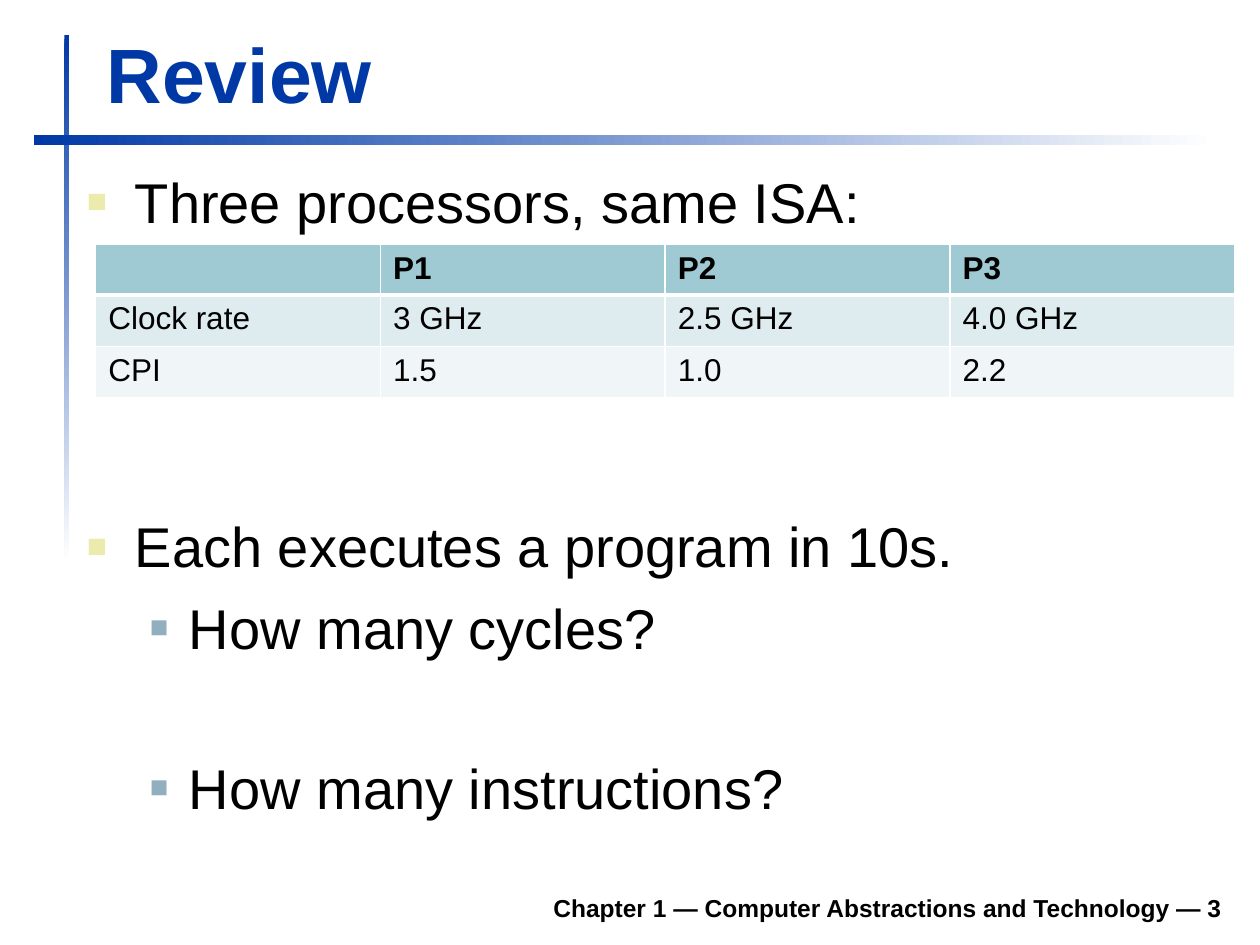
from pptx import Presentation
from pptx.dml.color import RGBColor
from pptx.enum.shapes import MSO_SHAPE as Preset
from pptx.enum.text import MSO_ANCHOR as Anchor, PP_ALIGN as Align
from pptx.oxml import parse_xml
from pptx.oxml.ns import nsdecls
from pptx.util import Cm, Pt

BLUE = RGBColor(0x00, 0x39, 0xA6)
WHITE = RGBColor(0xFF, 0xFF, 0xFF)
BLACK = RGBColor(0, 0, 0)
HEADER_TEAL = RGBColor(0x9F, 0xCA, 0xD3)
BAND_DARK = RGBColor(0xDF, 0xEC, 0xEF)
BAND_LIGHT = RGBColor(0xF0, 0xF6, 0xF7)
YELLOW = RGBColor(0xEC, 0xEA, 0xAC)
STEEL = RGBColor(0x91, 0xAF, 0xBF)

LEVELS = [
    {"margin": 0.97, "hang": 0.97, "color": YELLOW, "percent": 60},
    {"margin": 2.06, "hang": 0.79, "color": STEEL, "percent": 55},
]
QUESTIONS = [
    (0, "Three processors, same ISA:", 0),
    (0, "Each executes a program in 10s.", 158.5),
    (1, "How many cycles?", 8),
    (1, "How many instructions?", 53),
]
PROCESSORS = [
    ["", "P1", "P2", "P3"],
    ["Clock rate", "3 GHz", "2.5 GHz", "4.0 GHz"],
    ["CPI", "1.5", "1.0", "2.2"],
]


class SlideBuilder:
    """Draws styled elements on the current slide."""

    font = "Arial"

    def __init__(self, slide):
        self.slide = slide

    def add_words(self, paragraph, text, size, color=BLACK, bold=False):
        run = paragraph.add_run()
        run.text = text
        run.font.name = self.font
        run.font.size = Pt(size)
        run.font.bold = bold
        run.font.color.rgb = color

    def fading_bar(self, left, top, width, height, angle):
        bar = self.slide.shapes.add_shape(
            Preset.RECTANGLE, Cm(left), Cm(top), Cm(width), Cm(height))
        bar.shadow.inherit = False
        bar.line.fill.background()
        bar.fill.gradient()
        bar.fill.gradient_angle = angle
        for stop, position, color in zip(bar.fill.gradient_stops, (0, 1), (BLUE, WHITE)):
            stop.position = position
            stop.color.rgb = color

    def frame(self, left, top, width, height, anchor=Anchor.TOP):
        frame = self.slide.shapes.add_textbox(
            Cm(left), Cm(top), Cm(width), Cm(height)).text_frame
        frame.word_wrap = True
        frame.vertical_anchor = anchor
        return frame

    def line_of_text(self, text, box, size, color=BLACK, align=Align.LEFT):
        paragraph = self.frame(*box, anchor=Anchor.BOTTOM).paragraphs[0]
        paragraph.alignment = align
        self.add_words(paragraph, text, size, color, bold=True)

    def bullets(self, items, box, size):
        frame = self.frame(*box)
        for index, (level, text, gap) in enumerate(items):
            paragraph = frame.add_paragraph() if index else frame.paragraphs[0]
            paragraph.level = level
            style = LEVELS[level]
            properties = paragraph._p.get_or_add_pPr()
            properties.set("marL", str(Cm(style["margin"])))
            properties.set("indent", str(-Cm(style["hang"])))
            for element in (
                f'<a:buClr {nsdecls("a")}><a:srgbClr val="{style["color"]}"/></a:buClr>',
                f'<a:buSzPct {nsdecls("a")} val="{style["percent"] * 1000}"/>',
                f'<a:buFont {nsdecls("a")} typeface="{self.font}"/>',
                f'<a:buChar {nsdecls("a")} char="■"/>',
            ):
                properties.append(parse_xml(element))
            paragraph.space_before = Pt(gap)
            self.add_words(paragraph, text, size)

    def border(self, cell, side, points):
        cell._tc.get_or_add_tcPr().append(parse_xml(
            f'<a:ln{side} {nsdecls("a")} w="{Pt(points)}"><a:solidFill>'
            f'<a:srgbClr val="{WHITE}"/></a:solidFill></a:ln{side}>'))

    def table(self, rows, left, top, column_width, row_heights, fills, size):
        columns = len(rows[0])
        table = self.slide.shapes.add_table(
            len(rows), columns, Cm(left), Cm(top),
            Cm(column_width * columns), Cm(sum(row_heights))).table
        table.horz_banding = False
        for column in table.columns:
            column.width = Cm(column_width)
        for r, values in enumerate(rows):
            table.rows[r].height = Cm(row_heights[r])
            for c, value in enumerate(values):
                cell = table.cell(r, c)
                for side in "LRTB":
                    under_header = (r, side) in ((0, "B"), (1, "T"))
                    self.border(cell, side, 3 if under_header else 1)
                cell.fill.solid()
                cell.fill.fore_color.rgb = fills[r]
                if value:
                    self.add_words(cell.text_frame.paragraphs[0], value, size, bold=r == 0)


def main():
    presentation = Presentation()
    presentation.slide_width = Cm(25.4)
    presentation.slide_height = Cm(19.05)
    review = SlideBuilder(presentation.slides.add_slide(presentation.slide_layouts[6]))
    review.fading_bar(1.3, 0.71, 0.1, 10.59, angle=270)
    review.fading_bar(0.69, 2.72, 23.8, 0.2, angle=0)
    review.line_of_text("Review", (1.9, 0.41, 22.94, 2.11), 44, BLUE)
    review.table(PROCESSORS, 1.93, 4.93, 5.74, (0.98, 1.04, 1.04),
                 (HEADER_TEAL, BAND_DARK, BAND_LIGHT), 18)
    review.line_of_text("Chapter 1 — Computer Abstractions and Technology — 3",
                        (4.7, 17.73, 20.19, 0.99), 14, align=Align.RIGHT)
    review.bullets(QUESTIONS, (1.5, 3.25, 22.99, 14.07), 32)
    presentation.save("out.pptx")


if __name__ == "__main__":
    main()
